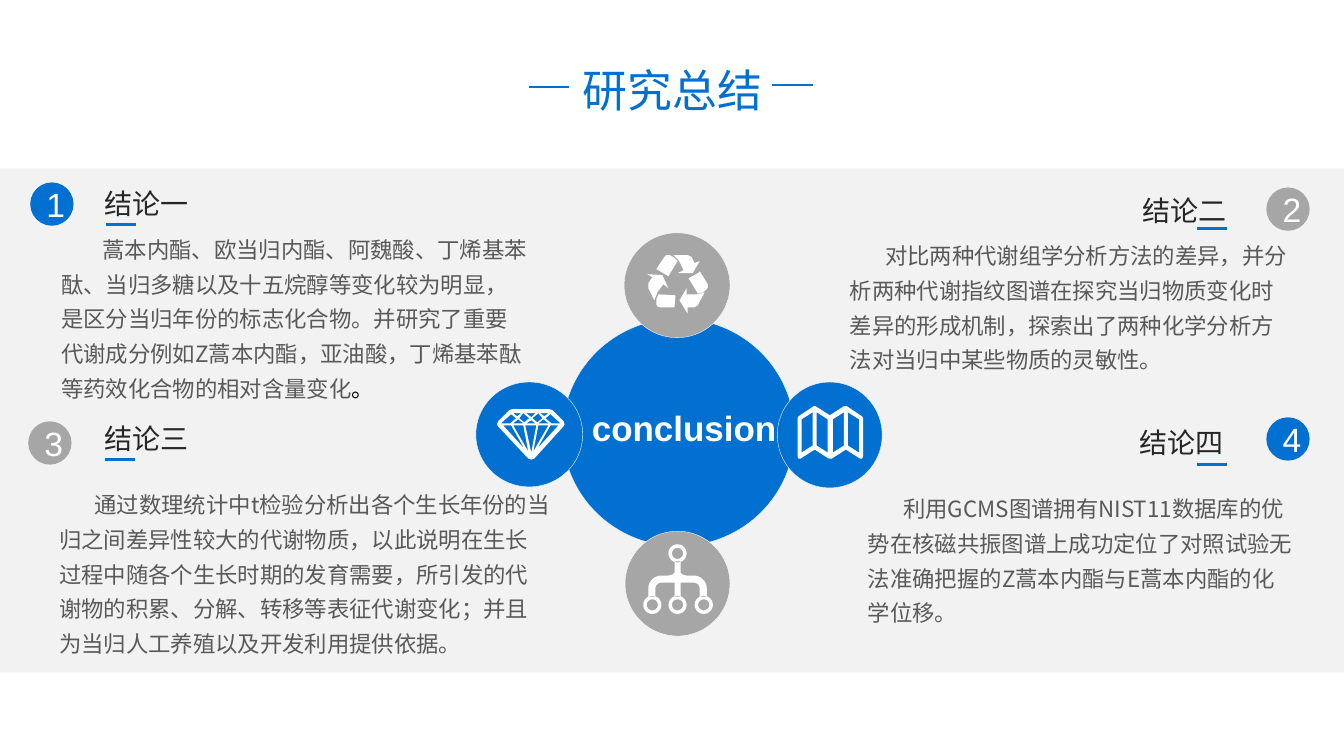
from math import cos, radians, sin

from lxml import etree
from pptx import Presentation
from pptx.dml.color import RGBColor
from pptx.enum.shapes import MSO_CONNECTOR, MSO_SHAPE
from pptx.enum.text import MSO_ANCHOR, MSO_AUTO_SIZE, PP_ALIGN
from pptx.oxml.ns import qn
from pptx.util import Inches, Pt

BLUE = RGBColor(0x02, 0x70, 0xD1)
GRAY = RGBColor(0xA6, 0xA6, 0xA6)
PALE = RGBColor(0xF2, 0xF2, 0xF2)
DARK = RGBColor(0x26, 0x26, 0x26)
BODY = RGBColor(0x59, 0x59, 0x59)
WHITE = RGBColor(0xFF, 0xFF, 0xFF)
BLACK = RGBColor(0, 0, 0)
CJK = "Noto Sans CJK SC"

CONCLUSIONS = [
    ("1", BLUE, (0.3, 1.81), "结论一", (0.94, 1.8), PP_ALIGN.LEFT, (1.05, 2.23),
     (0.51, 2.21, 4.84, 1.84), 0.41,
     "蒿本内酯、欧当归内酯、阿魏酸、丁烯基苯酞、当归多糖以及十五烷醇等变化较为明显，"
     "是区分当归年份的标志化合物。并研究了重要代谢成分例如Z蒿本内酯，亚油酸，"
     "丁烯基苯酞等药效化合物的相对含量变化"),
    ("2", GRAY, (12.56, 1.86), "结论二", (11.14, 1.87), PP_ALIGN.CENTER, (11.87, 2.27),
     (8.33, 2.27, 4.62, 1.49), 0.35,
     "对比两种代谢组学分析方法的差异，并分析两种代谢指纹图谱在探究当归物质变化时"
     "差异的形成机制，探索出了两种化学分析方法对当归中某些物质的灵敏性。"),
    ("3", GRAY, (0.28, 4.18), "结论三", (0.94, 4.13), PP_ALIGN.LEFT, (1.04, 4.56),
     (0.49, 4.74, 5.07, 1.84), 0.35,
     "通过数理统计中t检验分析出各个生长年份的当归之间差异性较大的代谢物质，"
     "以此说明在生长过程中随各个生长时期的发育需要，所引发的代谢物的积累、分解、"
     "转移等表征代谢变化；并且为当归人工养殖以及开发利用提供依据。"),
    ("4", BLUE, (12.56, 4.14), "结论四", (11.11, 4.17), PP_ALIGN.CENTER, (11.87, 4.61),
     (8.51, 4.78, 4.45, 1.49), 0.35,
     "利用GCMS图谱拥有NIST11数据库的优势在核磁共振图谱上成功定位了对照试验"
     "无法准确把握的Z蒿本内酯与E蒿本内酯的化学位移。"),
]

HUB_CIRCLES = [
    (5.58, 3.16, 2.3, 2.26, BLUE),
    (6.19, 2.31, 1.05, 1.04, GRAY),
    (7.71, 3.79, 1.04, 1.05, BLUE),
    (6.2, 5.27, 1.04, 1.04, GRAY),
    (4.72, 3.79, 1.06, 1.04, BLUE),
]

RECYCLE = [
    [(6.63, 2.86), (6.58, 2.82), (6.52, 2.9), (6.49, 2.98), (6.43, 2.86), (6.43, 2.81),
     (6.47, 2.75), (6.42, 2.72), (6.57, 2.73)],
    [(6.69, 3.05), (6.55, 3.05), (6.52, 3.04), (6.51, 3.02), (6.51, 2.97), (6.53, 2.92),
     (6.7, 2.93)],
    [(6.63, 2.74), (6.51, 2.67), (6.59, 2.55), (6.61, 2.53), (6.64, 2.53), (6.68, 2.55),
     (6.72, 2.59)],
    [(6.94, 2.59), (6.87, 2.71), (6.72, 2.71), (6.78, 2.68), (6.73, 2.58), (6.68, 2.53),
     (6.82, 2.53), (6.86, 2.55), (6.89, 2.61)],
    [(6.92, 3.03), (6.89, 3.05), (6.82, 3.05), (6.82, 3.11), (6.74, 2.98), (6.81, 2.86),
     (6.81, 2.92), (6.91, 2.92), (6.99, 2.9)],
    [(7.02, 2.82), (7.02, 2.85), (7.01, 2.87), (6.97, 2.9), (6.92, 2.91), (6.83, 2.76),
     (6.94, 2.7), (6.94, 2.69)],
]


def mirror(points, axis):
    return [(2 * axis - x, y) for x, y in points]


def arc(x, y, radius, start, end, step):
    return [(x + radius * cos(radians(a)), y - radius * sin(radians(a)))
            for a in range(start, end, step)]


def map_contours():
    outline = [(8.55, 4.13), (8.4, 4.03), (8.37, 4.03), (8.23, 4.12), (8.09, 4.03),
               (8.07, 4.03), (7.92, 4.13), (7.91, 4.15), (7.91, 4.53), (7.92, 4.55),
               (7.94, 4.55), (8.08, 4.46), (8.22, 4.55), (8.25, 4.55), (8.39, 4.46),
               (8.53, 4.55), (8.55, 4.55), (8.56, 4.53), (8.56, 4.15)]
    panes = []
    for i, left in enumerate((7.95, 8.1, 8.26, 8.41)):
        drop_left, drop_right = (0.07, 0) if i % 2 == 0 else (0, 0.07)
        right = left + 0.11
        panes.append([(left, 4.09 + drop_left), (right, 4.09 + drop_right),
                      (right, 4.42 + drop_right), (left, 4.42 + drop_left)])
    return [outline] + panes


def network_contours():
    axis = 6.72
    half = ([(6.69, 5.57), (6.69, 5.68), (6.67, 5.7), (6.63, 5.71)]
            + arc(6.56, 5.84, 0.13, 90, 181, 10) + [(6.43, 5.92), (6.5, 5.92)]
            + arc(6.56, 5.84, 0.06, 180, 89, -10) + [(6.69, 5.78), (6.69, 5.92)])
    contours = [half + mirror(half, axis)[::-1]]
    for x, y in ((axis, 5.49), (6.47, 6), (axis, 6), (6.98, 6)):
        contours += [arc(x, y, radius, 0, 360, 10) for radius in (0.09, 0.055)]
    return contours


def diamond_contours():
    outline = [(5.59, 4.18), (5.48, 4.07), (5.45, 4.06), (5.08, 4.06), (5.05, 4.07),
               (4.94, 4.18), (4.93, 4.21), (4.94, 4.23), (5.24, 4.55), (5.27, 4.56),
               (5.3, 4.55), (5.59, 4.23), (5.6, 4.21)]
    middle_facets = [
        [(5.27, 4.14), (5.22, 4.1), (5.31, 4.1)],
        [(5.32, 4.22), (5.27, 4.49), (5.21, 4.22)],
        [(5.31, 4.2), (5.22, 4.2), (5.27, 4.17)],
    ]
    left_facets = [
        [(5.07, 4.11), (5.12, 4.15), (5.06, 4.2), (4.97, 4.2)],
        [(5.2, 4.45), (4.99, 4.22), (5.07, 4.22)],
        [(5.19, 4.22), (5.24, 4.48), (5.09, 4.22)],
        [(5.14, 4.16), (5.19, 4.2), (5.09, 4.2)],
        [(5.13, 4.13), (5.09, 4.1), (5.17, 4.1)],
        [(5.2, 4.19), (5.15, 4.15), (5.19, 4.1), (5.25, 4.15)],
    ]
    right_facets = [mirror(facet, 5.265) for facet in left_facets]
    return [outline] + middle_facets + left_facets + right_facets


def set_font(paragraph, size, color, name=CJK, bold=False):
    font = paragraph.font
    font.size, font.bold, font.name = Pt(size), bold, name
    font.color.rgb = color
    latin = paragraph._p.pPr.find(qn("a:defRPr")).find(qn("a:latin"))
    east_asian = etree.Element(qn("a:ea"))
    east_asian.set("typeface", name)
    latin.addnext(east_asian)


def add_filled(slide, preset, left, top, width, height, color, outlined=False):
    shape = slide.shapes.add_shape(preset, Inches(left), Inches(top),
                                   Inches(width), Inches(height))
    shape.shadow.inherit = False
    shape.fill.solid()
    shape.fill.fore_color.rgb = color
    if outlined:
        shape.line.color.rgb = WHITE
        shape.line.width = Pt(0.25)
    else:
        shape.line.fill.background()
    return shape


def add_icon(slide, contours):
    builder = None
    for contour in contours:
        first, *rest = [(Inches(x), Inches(y)) for x, y in contour]
        if builder is None:
            builder = slide.shapes.build_freeform(*first)
        else:
            builder.move_to(*first)
        builder.add_line_segments(rest, close=True)
    icon = builder.convert_to_shape()
    icon.shadow.inherit = False
    icon.fill.solid()
    icon.fill.fore_color.rgb = WHITE
    icon.line.fill.background()


def add_rule(slide, left, top, length, weight):
    rule = slide.shapes.add_connector(MSO_CONNECTOR.STRAIGHT, Inches(left), Inches(top),
                                      Inches(left + length), Inches(top))
    rule.line.color.rgb = BLUE
    rule.line.width = Pt(weight)
    etree.SubElement(rule._element.spPr, qn("a:effectLst"))


def add_text(slide, box, text, size, color, align=PP_ALIGN.LEFT, **font):
    frame = slide.shapes.add_textbox(*(Inches(length) for length in box)).text_frame
    frame.word_wrap = True
    frame.auto_size = MSO_AUTO_SIZE.SHAPE_TO_FIT_TEXT
    paragraph = frame.paragraphs[0]
    paragraph.text = text
    paragraph.alignment = align
    set_font(paragraph, size, color, **font)
    return paragraph


def add_title(slide, text):
    title = slide.shapes.title
    title.left, title.top = Inches(5.09), Inches(0.47)
    title.width, title.height = Inches(3.16), Inches(0.73)
    title.text_frame.vertical_anchor = MSO_ANCHOR.TOP
    paragraph = title.text_frame.paragraphs[0]
    paragraph.text = text
    paragraph.alignment = PP_ALIGN.CENTER
    paragraph.line_spacing = 1.2
    set_font(paragraph, 32, BLUE)
    add_rule(slide, 5.25, 0.86, 0.39, 1.5)
    add_rule(slide, 7.66, 0.84, 0.4, 1.5)


def add_conclusion(slide, number, color, badge_at, heading, heading_at, align, rule_at,
                   body_box, indent, body):
    badge = add_filled(slide, MSO_SHAPE.OVAL, *badge_at, 0.43, 0.43, color)
    badge.text_frame.vertical_anchor = MSO_ANCHOR.MIDDLE
    digit = badge.text_frame.paragraphs[0]
    digit.text = number
    digit.alignment = PP_ALIGN.CENTER
    set_font(digit, 24, WHITE, "Arial")
    add_text(slide, (*heading_at, 1.22, 0.44), heading, 20, DARK, align)
    add_rule(slide, *rule_at, 0.3, 2.25)
    paragraph = add_text(slide, body_box, body, 16, BODY)
    paragraph.line_spacing = 1.3
    paragraph._p.get_or_add_pPr().set("indent", str(Inches(indent)))
    return paragraph


def main():
    deck = Presentation()
    deck.slide_width, deck.slide_height = Inches(13.33), Inches(7.5)
    slide = deck.slides.add_slide(deck.slide_layouts[5])
    add_filled(slide, MSO_SHAPE.RECTANGLE, 0, 1.67, 13.33, 5, PALE)
    add_title(slide, "研究总结")
    for circle in HUB_CIRCLES:
        add_filled(slide, MSO_SHAPE.OVAL, *circle, outlined=True)
    add_text(slide, (5.71, 3.98, 2.15, 0.52), "conclusion", 25, WHITE, PP_ALIGN.CENTER,
             name="Arial", bold=True)
    for contours in (RECYCLE, map_contours(), network_contours(), diamond_contours()):
        add_icon(slide, contours)
    bodies = [add_conclusion(slide, *conclusion) for conclusion in CONCLUSIONS]
    full_stop = bodies[0].add_run()
    full_stop.text = "。"
    full_stop.font.name = "Calibri"
    full_stop.font.color.rgb = BLACK
    deck.save("out.pptx")


if __name__ == "__main__":
    main()
